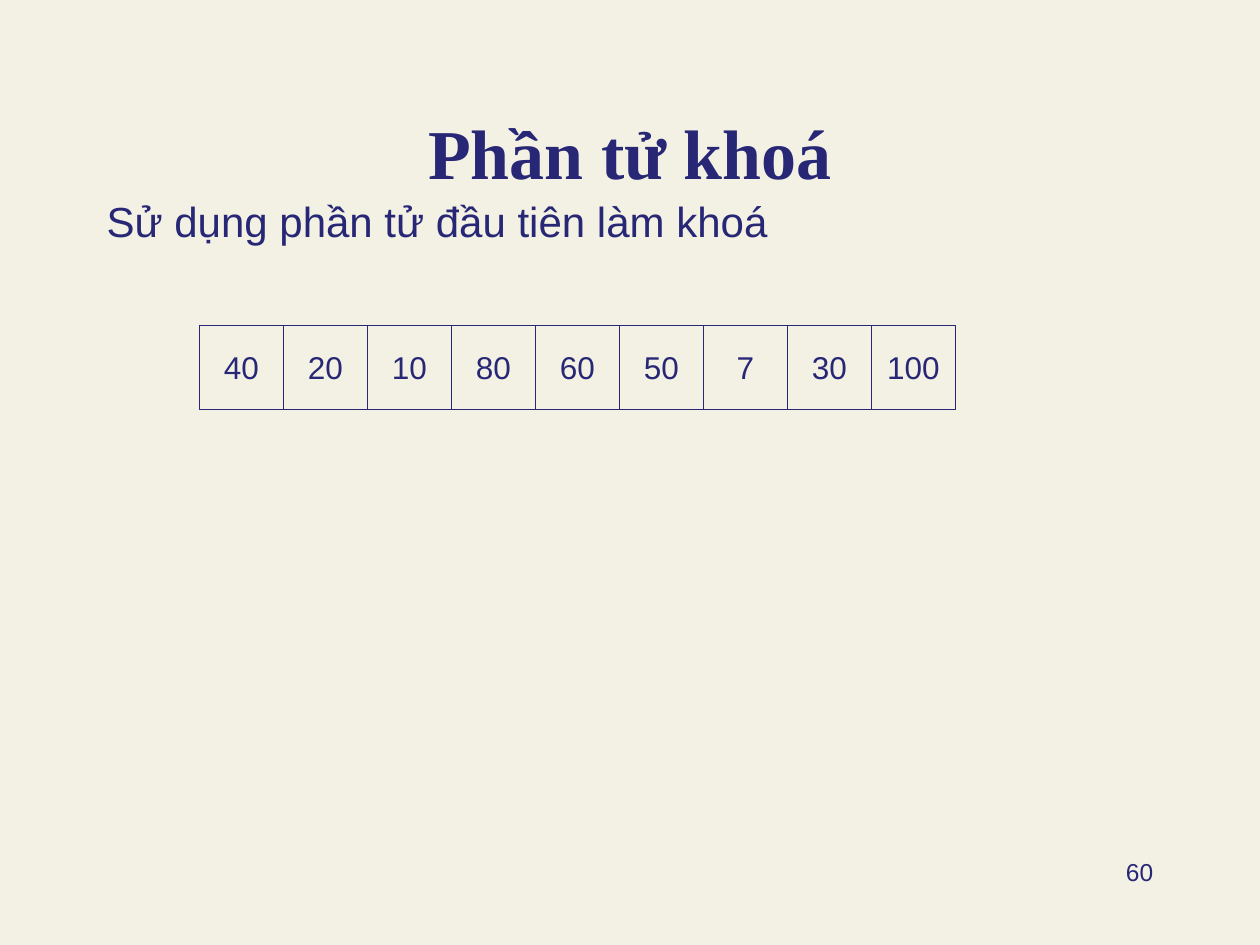
from pptx import Presentation
from pptx.dml.color import RGBColor
from pptx.enum.shapes import MSO_SHAPE
from pptx.enum.text import MSO_ANCHOR, MSO_AUTO_SIZE, PP_ALIGN
from pptx.util import Cm, Pt

RECTANGLE = MSO_SHAPE.RECTANGLE
TOP, MIDDLE, BOTTOM = MSO_ANCHOR.TOP, MSO_ANCHOR.MIDDLE, MSO_ANCHOR.BOTTOM
LEFT, CENTER, RIGHT = PP_ALIGN.LEFT, PP_ALIGN.CENTER, PP_ALIGN.RIGHT
NO_AUTOFIT = MSO_AUTO_SIZE.NONE
TITLE_ONLY = 5

NAVY = "272776"
CREAM = "F3F1E4"
KEYS = [40, 20, 10, 80, 60, 50, 7, 30, 100]


def color(value):
    return RGBColor.from_string(value)


def write_text(shape, text, size, font="Arial", bold=False, align=LEFT, anchor=TOP, wrap=True):
    frame = shape.text_frame
    frame.auto_size = NO_AUTOFIT
    frame.word_wrap = wrap
    frame.vertical_anchor = anchor
    paragraph = frame.paragraphs[0]
    paragraph.alignment = align
    run = paragraph.add_run()
    run.text = text
    run.font.name = font
    run.font.size = Pt(size)
    run.font.bold = bold
    run.font.color.rgb = color(NAVY)


def place_title(slide, left, top, width, height, text):
    title = slide.shapes.title
    title.left, title.top, title.width, title.height = left, top, width, height
    write_text(title, text, 40, font="Times New Roman", bold=True, align=CENTER, anchor=BOTTOM)


def add_label(slide, left, top, width, height, text, size, align=LEFT):
    label = slide.shapes.add_textbox(left, top, width, height)
    write_text(label, text, size, align=align)


def add_array(slide, left, top, width, height, values):
    cell_width = width / len(values)
    for index, value in enumerate(values):
        cell = slide.shapes.add_shape(
            RECTANGLE, round(left + index * cell_width), top, round(cell_width), height
        )
        cell.shadow.inherit = False
        cell.fill.background()
        cell.line.color.rgb = color(NAVY)
        cell.line.width = Pt(0.75)
        write_text(cell, str(value), 18, align=CENTER, anchor=MIDDLE, wrap=False)


def main():
    presentation = Presentation()
    presentation.slide_width = Cm(25.4)
    presentation.slide_height = Cm(19.05)
    slide = presentation.slides.add_slide(presentation.slide_layouts[TITLE_ONLY])
    slide.background.fill.solid()
    slide.background.fill.fore_color.rgb = color(CREAM)

    place_title(slide, Cm(1.9), Cm(0.85), Cm(21.6), Cm(3.17), "Phần tử khoá")
    add_label(slide, Cm(1.9), Cm(3.81), Cm(21.6), Cm(11.43), "Sử dụng phần tử đầu tiên làm khoá", 24)
    add_label(slide, Cm(18.2), Cm(17.15), Cm(5.3), Cm(1.27), "60", 14, align=RIGHT)
    add_array(slide, Cm(4.02), Cm(6.56), Cm(15.24), Cm(1.69), KEYS)

    presentation.save("out.pptx")


if __name__ == "__main__":
    main()
